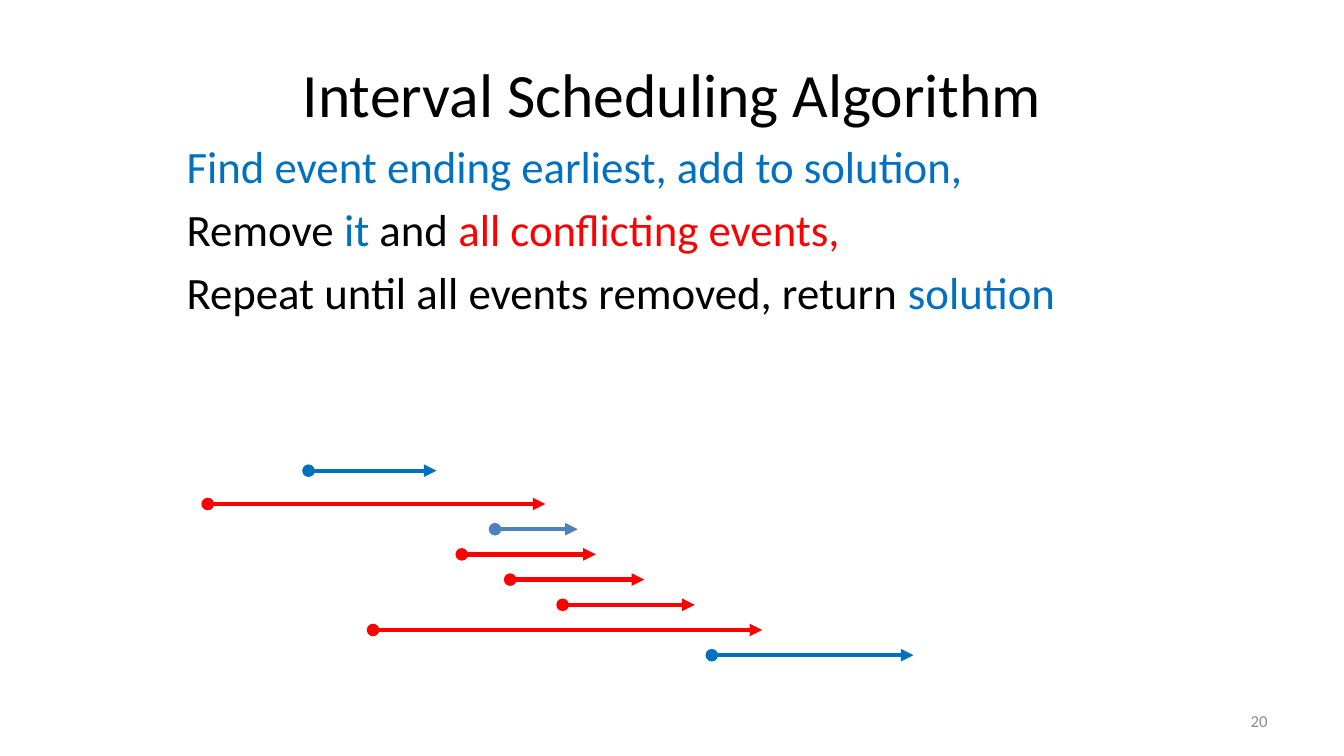
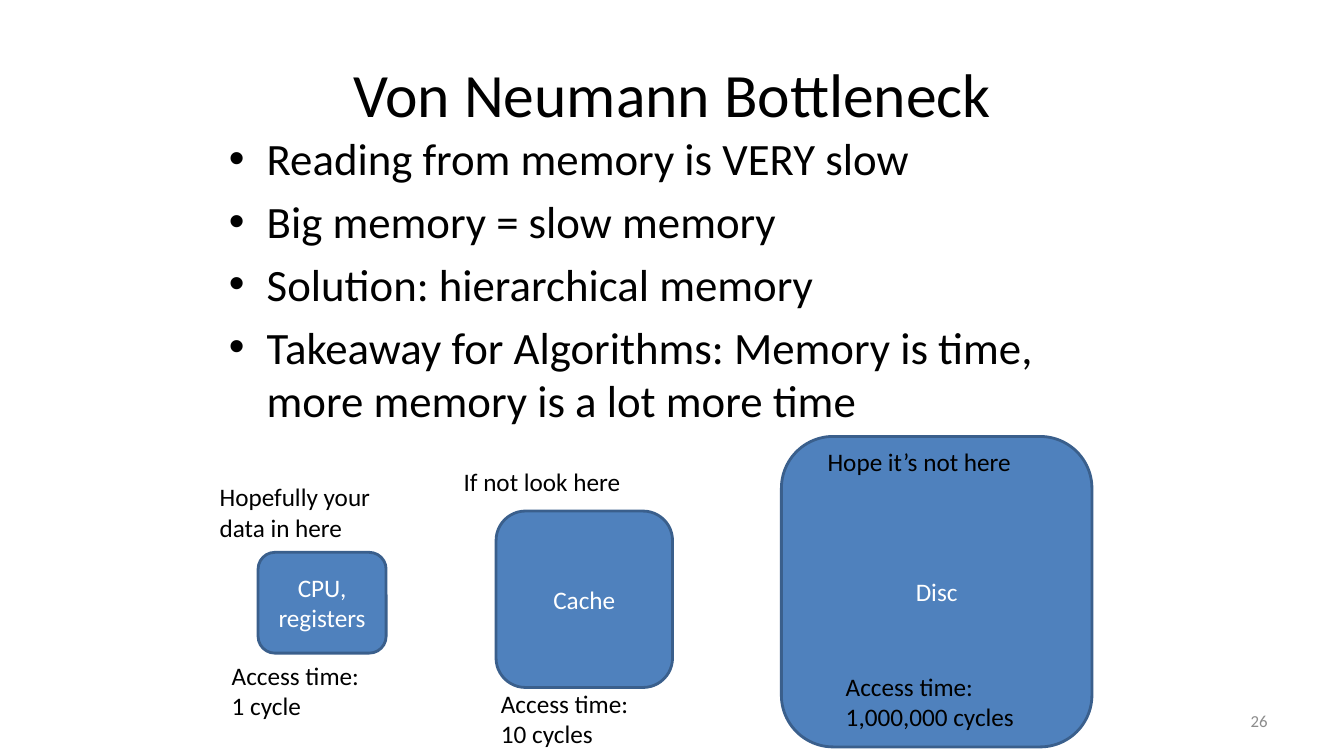
from lxml import etree
from pptx import Presentation
from pptx import util as u
from pptx.dml.color import RGBColor
from pptx.enum import shapes, text
from pptx.oxml.ns import qn

FONT = "Calibri"
COLOURS = {
    "ink": "000000",
    "paper": "FFFFFF",
    "muted": "8C8C8C",
    "chosen": "0070C0",
    "conflict": "FF0000",
    "accent": "4F81BD",
    "edge": "3A5F8C",
}


def colour(name):
    """Return the named palette colour."""
    return RGBColor.from_string(COLOURS[name])


def inches(*lengths):
    """Convert several lengths to inches."""
    return [u.Inches(length) for length in lengths]


def place(item, box):
    """Move and resize an item to a box of left, top, width and height."""
    item.left, item.top, item.width, item.height = inches(*box)


def style(para, size, ink="ink", align=None):
    """Format a whole paragraph."""
    para.font.name = FONT
    para.font.size = u.Pt(size)
    para.font.color.rgb = colour(ink)
    if align is not None:
        para.alignment = align


def add_text(page, box, content, size=18, ink="ink", align=None,
             anchor=text.MSO_ANCHOR.TOP):
    """Add a wrapping text box with one paragraph for each line."""
    frame = page.shapes.add_textbox(*inches(*box)).text_frame
    frame.word_wrap = True
    frame.vertical_anchor = anchor
    frame.text = content
    for para in frame.paragraphs:
        style(para, size, ink, align)


def add_page(deck, title, number):
    """Add a slide with the shared title and page number."""
    page = deck.slides.add_slide(deck.slide_layouts[1])
    heading = page.shapes.title
    place(heading, (0.67, 0.3, 12, 1.25))
    heading.text_frame.text = title
    style(heading.text_frame.paragraphs[0], 44, align=text.PP_ALIGN.CENTER)
    add_text(page, (9.56, 6.95, 3.11, 0.4), number, 12, "muted",
             text.PP_ALIGN.RIGHT, text.MSO_ANCHOR.MIDDLE)
    return page


def fill_body(page, box, lines, bullets):
    """Fill the body placeholder with lines made of (text, colour) spans."""
    body = page.placeholders[1]
    place(body, box)
    frame = body.text_frame
    frame.auto_size = text.MSO_AUTO_SIZE.NONE
    for index, line in enumerate(lines):
        para = frame.add_paragraph() if index else frame.paragraphs[0]
        style(para, 32)
        for words, ink in line:
            span = para.add_run()
            span.text = words
            span.font.color.rgb = colour(ink)
        if not bullets:
            props = para._p.get_or_add_pPr()
            props.set("marL", "0")
            props.set("indent", "0")
            props.insert_element_before(
                props.makeelement(qn("a:buNone")), "a:tabLst", "a:defRPr", "a:extLst")


def add_event(page, left, top, length, ink):
    """Draw one event as an arrow with a round start."""
    arrow = page.shapes.add_connector(
        shapes.MSO_CONNECTOR.STRAIGHT, *inches(left, top, left + length, top))
    arrow.line.color.rgb = colour(ink)
    arrow.line.width = u.Pt(3)
    outline = arrow.line._get_or_add_ln()
    for tag, kind in (("a:headEnd", "oval"), ("a:tailEnd", "triangle")):
        etree.SubElement(outline, qn(tag)).set("type", kind)
    etree.SubElement(arrow._element.spPr, qn("a:effectLst"))


def draw_schedule(page, left, top, events):
    """Draw events on rows, the first one set a little apart."""
    row_gap, first_gap = 0.25, 0.33
    for row, (start, length, ink) in enumerate(events):
        drop = first_gap + row_gap * (row - 1) if row else 0
        add_event(page, left + start, top + drop, length, ink)


def draw_memory(page, box, name, note, note_at, access, access_at):
    """Draw a memory level with a note and access time offset from its corner."""
    left, top = box[:2]
    level = page.shapes.add_shape(
        shapes.MSO_SHAPE.ROUNDED_RECTANGLE, *inches(*box))
    level.shadow.inherit = False
    level.fill.solid()
    level.fill.fore_color.rgb = colour("accent")
    level.line.color.rgb = colour("edge")
    level.line.width = u.Pt(2)
    frame = level.text_frame
    frame.text = name
    frame.vertical_anchor = text.MSO_ANCHOR.MIDDLE
    style(frame.paragraphs[0], 18, "paper", text.PP_ALIGN.CENTER)
    for content, (across, down), width, height in (
            (note, note_at, 2.1, 0.4),
            (f"Access time:\n{access}", access_at, 2.1, 0.71)):
        add_text(page, (left + across, top + down, width, height), content)


def scheduling_slide(deck):
    """Build the interval scheduling slide."""
    page = add_page(deck, "Interval Scheduling Algorithm", "20")
    fill_body(page, (1.75, 1.33, 9.89, 1.92), [
        [("Find event ending earliest, add to solution,", "chosen")],
        [("Remove ", "ink"), ("it", "chosen"), (" and", "ink"),
         (" all conflicting events,", "conflict")],
        [("Repeat until all events removed, return ", "ink"),
         ("solution", "chosen")],
    ], bullets=False)
    draw_schedule(page, 2.06, 4.67, [
        (1, 1.27, "chosen"),
        (0, 3.35, "conflict"),
        (2.85, 0.82, "accent"),
        (2.52, 1.33, "conflict"),
        (3, 1.33, "conflict"),
        (3.52, 1.31, "conflict"),
        (1.64, 3.86, "conflict"),
        (5, 2, "chosen"),
    ])


def memory_slide(deck):
    """Build the memory hierarchy slide."""
    page = add_page(deck, "Von Neumann Bottleneck", "26")
    points = [
        "Reading from memory is VERY slow",
        "Big memory = slow memory",
        "Solution: hierarchical memory",
        "Takeaway for Algorithms: Memory is time, more memory is a lot more time",
    ]
    fill_body(page, (2.17, 1.25, 9, 3.33),
              [[(point, "ink")] for point in points], bullets=True)
    levels = [
        ((2.56, 5.48, 1.27, 1), "CPU, registers",
         "Hopefully your data in here", (-0.48, -0.75), "1 cycle", (-0.36, 1.02)),
        ((4.92, 5.07, 1.75, 1.75), "Cache",
         "If not look here", (-0.42, -0.49), "10 cycles", (-0.05, 1.71)),
        ((7.75, 4.33, 3.08, 3.08), "Disc",
         "Hope it’s not here", (0.36, 0.05), "1,000,000 cycles", (0.54, 2.28)),
    ]
    for level in levels:
        draw_memory(page, *level)


def main():
    """Build and save the deck."""
    deck = Presentation()
    deck.slide_width, deck.slide_height = inches(13.33, 7.5)
    scheduling_slide(deck)
    memory_slide(deck)
    deck.save("out.pptx")


if __name__ == "__main__":
    main()
